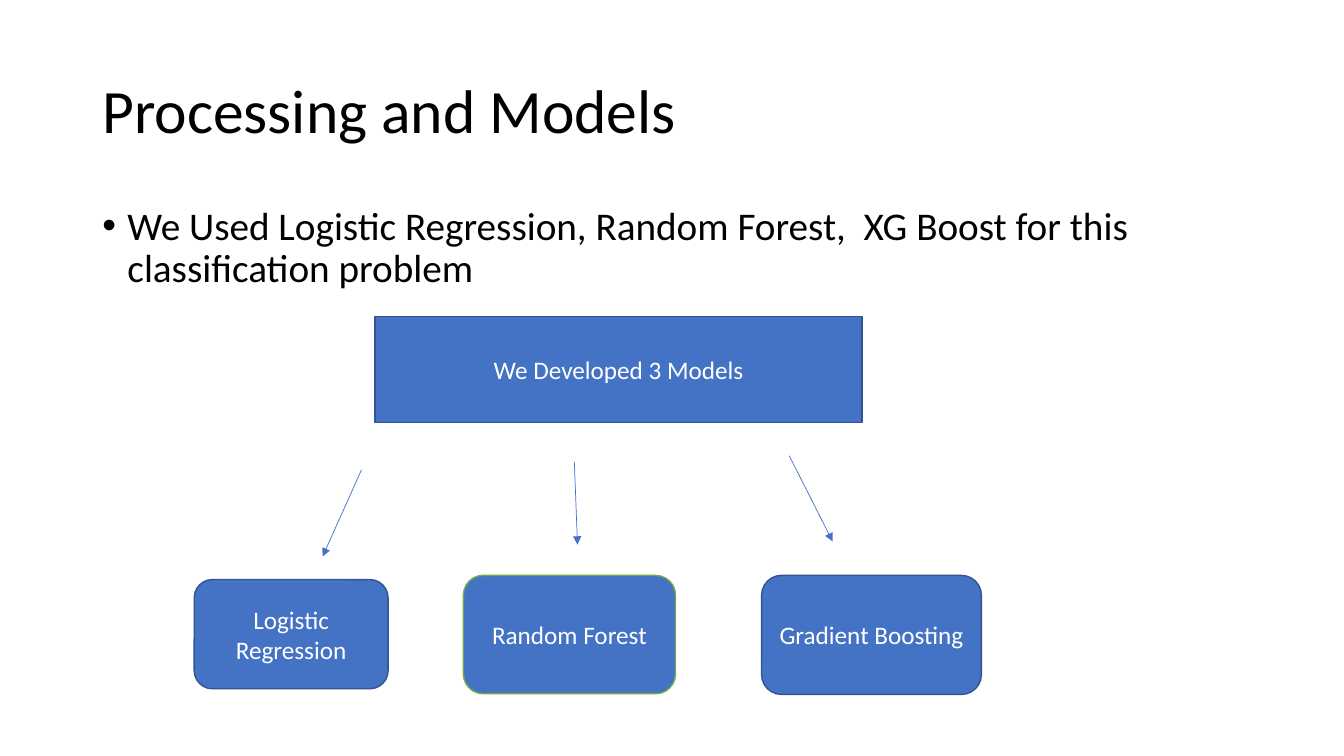
from lxml import etree
from pptx import Presentation
from pptx.dml.color import RGBColor
from pptx.enum.shapes import MSO_CONNECTOR, MSO_SHAPE
from pptx.enum.text import MSO_ANCHOR, MSO_AUTO_SIZE, PP_ALIGN
from pptx.oxml.ns import qn
from pptx.util import Pt

RECT, ROUNDED = MSO_SHAPE.RECTANGLE, MSO_SHAPE.ROUNDED_RECTANGLE
STRAIGHT = MSO_CONNECTOR.STRAIGHT
TOP, MIDDLE = MSO_ANCHOR.TOP, MSO_ANCHOR.MIDDLE
LEFT, CENTER = PP_ALIGN.LEFT, PP_ALIGN.CENTER
NO_FIT = MSO_AUTO_SIZE.NONE

COLORS = {"ink": "000000", "paper": "FFFFFF", "blue": "4472C4",
          "edge": "325491", "green": "70AD47"}


def color(name):
    return RGBColor.from_string(COLORS[name])


def set_all(target, values):
    for key, value in values.items():
        setattr(target, key, value)


class ModelSlide:
    """Holds the slide and its text style."""

    font = "Calibri"

    def __init__(self, deck):
        self.slide = deck.slides.add_slide(deck.slide_layouts[5])

    def put_text(self, shape, text, size, ink, align, anchor, **spacing):
        frame = shape.text_frame
        set_all(frame, {"text": text, "word_wrap": True, "auto_size": NO_FIT,
                        "vertical_anchor": anchor})
        paragraph = frame.paragraphs[0]
        set_all(paragraph, {"alignment": align, **spacing})
        run_font = paragraph.runs[0].font
        set_all(run_font, {"name": self.font, "size": Pt(size)})
        run_font.color.rgb = color(ink)
        return paragraph

    def title(self, text, left, top, width, height):
        heading = self.slide.shapes.title
        set_all(heading, {"left": Pt(left), "top": Pt(top),
                          "width": Pt(width), "height": Pt(height)})
        self.put_text(heading, text, 44, "ink", LEFT, MIDDLE, line_spacing=0.9)

    def bullet(self, text, *box):
        body = self.slide.shapes.add_textbox(*map(Pt, box))
        paragraph = self.put_text(body, text, 28, "ink", LEFT, TOP,
                                  line_spacing=0.9, space_before=Pt(10))
        # Hanging bullet
        props = paragraph._p.get_or_add_pPr()
        props.set("marL", str(Pt(18)))
        props.set("indent", str(Pt(-18)))
        etree.SubElement(props, qn("a:buFont"), typeface="Arial")
        etree.SubElement(props, qn("a:buChar"), char="•")

    def box(self, kind, text, *place, edge="edge"):
        block = self.slide.shapes.add_shape(kind, *map(Pt, place))
        block.shadow.inherit = False
        block.fill.solid()
        block.fill.fore_color.rgb = color("blue")
        block.line.color.rgb = color(edge)
        block.line.width = Pt(1)
        self.put_text(block, text, 18, "paper", CENTER, MIDDLE)

    def arrow(self, *ends):
        arrow = self.slide.shapes.add_connector(STRAIGHT, *map(Pt, ends))
        arrow.line.color.rgb = color("blue")
        arrow.line.width = Pt(0.5)
        properties = arrow._element.spPr
        etree.SubElement(properties.find(qn("a:ln")), qn("a:tailEnd"),
                         type="triangle")
        etree.SubElement(properties, qn("a:effectLst"))


def main():
    deck = Presentation()
    set_all(deck, {"slide_width": Pt(960), "slide_height": Pt(540)})
    page = ModelSlide(deck)

    # Heading and statement
    page.title("Processing and Models", 66, 28.75, 828, 104.4)
    page.bullet("We Used Logistic Regression, Random Forest,  XG Boost "
                "for this classification problem", 66, 143.75, 828, 342.6)

    # Root of the diagram
    page.box(RECT, "We Developed 3 Models", 268, 226, 347.75, 75.75)

    # The three models
    models = [
        ("Logistic Regression", 138.75, 414, 138.5, 78, "edge"),
        ("Random Forest", 331, 411, 151.5, 84.5, "green"),
        ("Gradient Boosting", 544, 411, 157, 85, "edge"),
    ]
    for model, left, top, width, height, edge in models:
        page.box(ROUNDED, model, left, top, width, height, edge=edge)

    # Arrows towards the models
    for ends in [(258.25, 335.5, 230.5, 397.5),
                 (410.25, 329.75, 412.5, 389),
                 (563.75, 325.5, 594.75, 386.75)]:
        page.arrow(*ends)

    deck.save("out.pptx")


if __name__ == "__main__":
    main()
